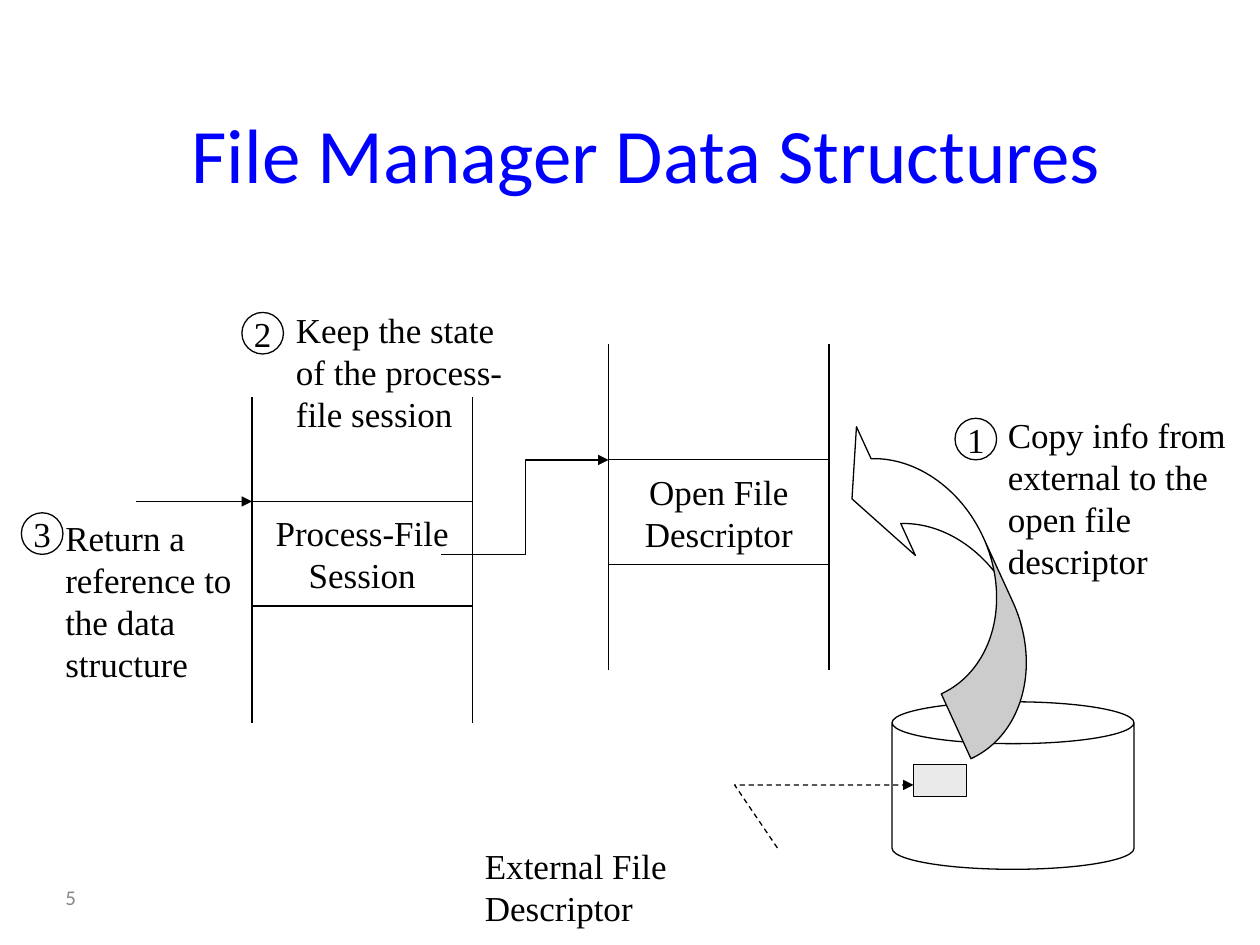
"""Build the slide on the data structures of a file manager."""
from lxml import etree
from pptx import Presentation
from pptx.dml.color import RGBColor
from pptx.enum.dml import MSO_LINE
from pptx.enum.shapes import MSO_CONNECTOR, MSO_SHAPE
from pptx.enum.text import MSO_ANCHOR, PP_ALIGN
from pptx.oxml.ns import qn
from pptx.util import Inches, Pt

BLACK = RGBColor(0x00, 0x00, 0x00)
WHITE = RGBColor(0xFF, 0xFF, 0xFF)
BLUE = RGBColor(0x00, 0x00, 0xFF)
PALE = RGBColor(0xEA, 0xEA, 0xEA)
GRAY = RGBColor(0x89, 0x89, 0x89)
LEFT, CENTER = PP_ALIGN.LEFT, PP_ALIGN.CENTER
TOP, MIDDLE = MSO_ANCHOR.TOP, MSO_ANCHOR.MIDDLE
RECT, OVAL, CAN = MSO_SHAPE.RECTANGLE, MSO_SHAPE.OVAL, MSO_SHAPE.CAN
CURVED_ARROW = MSO_SHAPE.CURVED_LEFT_ARROW
STRAIGHT, DASH = MSO_CONNECTOR.STRAIGHT, MSO_LINE.DASH


def write(s, text, size=20, font="Times New Roman", color=BLACK,
          align=LEFT, anchor=TOP, wrap=True):
    tf = s.text_frame
    tf.word_wrap = wrap
    tf.vertical_anchor = anchor
    for i, line in enumerate(text.split("\n")):
        p = tf.paragraphs[0] if i == 0 else tf.add_paragraph()
        p.alignment = align
        r = p.add_run()
        r.text = line
        r.font.size = Pt(size)
        r.font.name = font
        r.font.color.rgb = color


def outline(s, fill=None, arrow=False):
    s.line.color.rgb = BLACK
    s.line.width = Pt(0.75)
    if fill is not None:
        s.fill.solid()
        s.fill.fore_color.rgb = fill
    if arrow:
        ln = s.line._get_or_add_ln()
        etree.SubElement(ln, qn("a:tailEnd"), type="triangle")
    sp_pr = s._element.spPr
    if sp_pr.find(qn("a:effectLst")) is None:
        etree.SubElement(sp_pr, qn("a:effectLst"))


prs = Presentation()
prs.slide_width, prs.slide_height = Inches(10), Inches(7.5)
slide = prs.slides.add_slide(prs.slide_layouts[5])
shapes = slide.shapes

title = shapes.title
title.left, title.top = Inches(0.92), Inches(0.42)
title.width, title.height = Inches(8.42), Inches(1.58)
write(title, "File Manager Data Structures", size=44, font="Calibri",
      color=BLUE, align=CENTER, anchor=MIDDLE)

disk = shapes.add_shape(CAN, Inches(7.08), Inches(5.57), Inches(1.92), Inches(1.33))
disk.adjustments[0] = 0.25
outline(disk, WHITE)
record = shapes.add_shape(RECT, Inches(7.25), Inches(6.07), Inches(0.42), Inches(0.25))
outline(record, PALE)

structures = [
    ("Open File\nDescriptor", 4.83, 3.65, 2.73),
    ("Process-File\nSession", 2, 3.98, 3.15),
]
for text, x, y, line_top in structures:
    box = shapes.add_shape(RECT, Inches(x), Inches(y), Inches(1.75), Inches(0.83))
    outline(box, WHITE)
    write(box, text, align=CENTER, anchor=MIDDLE, wrap=False)
    for side in (x, x + 1.75):
        edge = shapes.add_connector(STRAIGHT, Inches(side), Inches(line_top),
                                    Inches(side), Inches(line_top + 2.59))
        outline(edge)

copy_arrow = shapes.add_shape(CURVED_ARROW, Inches(7.08), Inches(3.15),
                              Inches(0.82), Inches(2.83))
for i, value in enumerate((0.69, 1.37, 0.33)):
    copy_arrow.adjustments[i] = value
copy_arrow.rotation = 335.4
copy_arrow._element.spPr.xfrm.set("flipV", "1")
outline(copy_arrow, WHITE)

paths = [
    ([(6.17, 6.73), (5.83, 6.23), (7.25, 6.23)], DASH),
    ([(3.5, 4.4), (4.17, 4.4), (4.17, 3.65), (4.83, 3.65)], None),
]
for points, dash in paths:
    (x, y), *rest = [(Inches(a), Inches(b)) for a, b in points]
    builder = shapes.build_freeform(x, y)
    builder.add_line_segments(rest, close=False)
    link = builder.convert_to_shape()
    link.fill.background()
    if dash is not None:
        link.line.dash_style = dash
    outline(link, arrow=True)

reference = shapes.add_connector(STRAIGHT, Inches(1.08), Inches(3.98),
                                 Inches(2), Inches(3.98))
outline(reference, arrow=True)

labels = [
    ("External File Descriptor", 3.75, 6.65, 2.8, 0.76),
    ("Copy info from external to the open file descriptor", 7.9, 3.23, 1.93, 1.43),
    ("Keep the state of the process-file session", 2.25, 2.4, 1.93, 1.1),
    ("Return a reference to the data structure", 0.42, 4.05, 1.83, 1.43),
]
for text, x, y, w, h in labels:
    write(shapes.add_textbox(Inches(x), Inches(y), Inches(w), Inches(h)), text)

for number, x, y in [("1", 7.58, 3.32), ("2", 1.92, 2.48), ("3", 0.17, 4.07)]:
    step = shapes.add_shape(OVAL, Inches(x), Inches(y), Inches(0.33), Inches(0.33))
    outline(step, WHITE)
    write(step, number, align=CENTER, anchor=MIDDLE, wrap=False)

page = shapes.add_textbox(Inches(0.42), Inches(6.92), Inches(1.08), Inches(0.4))
write(page, "5", size=12, font="Calibri", color=GRAY, anchor=MIDDLE)

prs.save("out.pptx")
